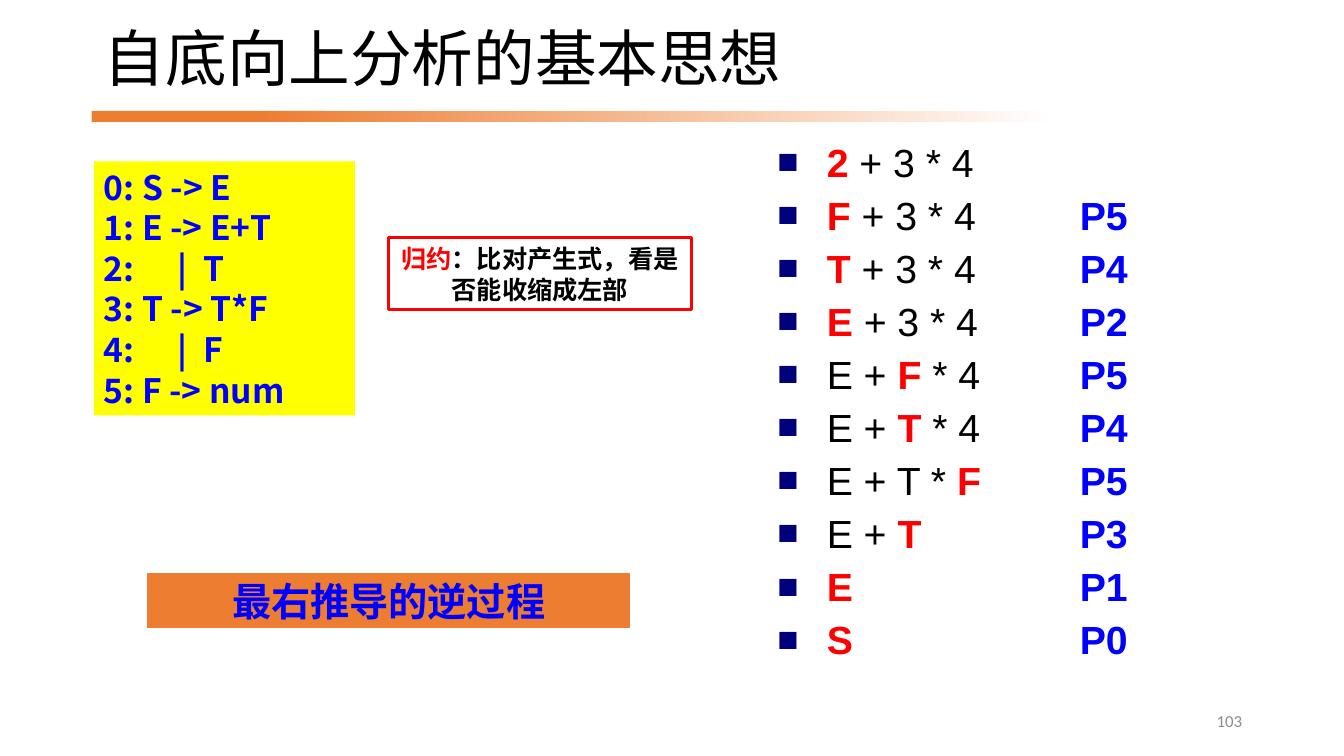
from dataclasses import dataclass

from lxml import etree
from pptx import Presentation
from pptx.dml.color import RGBColor
from pptx.enum.shapes import MSO_SHAPE
from pptx.enum.text import MSO_ANCHOR, MSO_AUTO_SIZE, PP_ALIGN
from pptx.oxml.ns import qn
from pptx.util import Inches, Pt

RECTANGLE = MSO_SHAPE.RECTANGLE
TOP, MIDDLE = MSO_ANCHOR.TOP, MSO_ANCHOR.MIDDLE
LEFT, CENTER, RIGHT = PP_ALIGN.LEFT, PP_ALIGN.CENTER, PP_ALIGN.RIGHT
NO_AUTOFIT = MSO_AUTO_SIZE.NONE


@dataclass(frozen=True)
class Theme:
    black: str = "000000"
    white: str = "FFFFFF"
    red: str = "FF0000"
    blue: str = "0000FF"
    navy: str = "00007D"
    yellow: str = "FFFF00"
    orange: str = "ED7D31"
    gray: str = "8C8C8C"
    latin: str = "Arial"
    chinese: str = "Noto Sans CJK SC"
    number: str = "Calibri"
    title_size: int = 44
    step_size: int = 28
    grammar_size: int = 24
    note_size: int = 18
    number_size: int = 12


THEME = Theme()

TITLE = "自底向上分析的基本思想"
PAGE_NUMBER = "103"
GRAMMAR = [
    "0: S -> E",
    "1: E -> E+T",
    "2:\t|\tT",
    "3: T -> T*F",
    "4:\t|\tF",
    "5: F -> num",
]
GRAMMAR_TABS = (0.73, 0.99)
NOTE = [("归约", THEME.red), ("：比对产生式，看是否能收缩成左部", THEME.black)]
CONCLUSION = "最右推导的逆过程"

# before, reduced symbol, after, production
STEPS = [
    ("", "2", " + 3 * 4", ""),
    ("", "F", " + 3 * 4", "P5"),
    ("", "T", " + 3 * 4", "P4"),
    ("", "E", " + 3 * 4", "P2"),
    ("E + ", "F", " * 4", "P5"),
    ("E + ", "T", " * 4", "P4"),
    ("E + T * ", "F", "", "P5"),
    ("E + ", "T", "", "P3"),
    ("", "E", "", "P1"),
    ("", "S", "", "P0"),
]
STEP_INDENT = 0.49
PRODUCTION_TAB = 3


def color(value):
    return RGBColor.from_string(value)


def place(shape, left, top, width, height):
    shape.left, shape.top = Inches(left), Inches(top)
    shape.width, shape.height = Inches(width), Inches(height)


def setup_frame(shape, anchor):
    frame = shape.text_frame
    frame.word_wrap = True
    frame.auto_size = NO_AUTOFIT
    frame.vertical_anchor = anchor
    return frame


def format_run(run, font_name, size, fill, bold=False):
    run.font.name = font_name
    run.font.size = Pt(size)
    run.font.bold = bold
    run.font.color.rgb = color(fill)
    east_asian = etree.Element(qn("a:ea"), typeface=font_name)
    run.font._element.find(qn("a:latin")).addnext(east_asian)


def add_run(paragraph, text, *style):
    run = paragraph.add_run()
    run.text = text
    format_run(run, *style)


def add_tabs(paragraph, positions):
    tabs = etree.SubElement(paragraph._p.get_or_add_pPr(), qn("a:tabLst"))
    for position in positions:
        etree.SubElement(tabs, qn("a:tab"), pos=str(Inches(position)), algn="l")


def add_square_bullet(paragraph):
    properties = paragraph._p.get_or_add_pPr()
    properties.set("marL", str(Inches(STEP_INDENT)))
    properties.set("indent", str(-Inches(STEP_INDENT)))
    bullet_color = etree.SubElement(properties, qn("a:buClr"))
    etree.SubElement(bullet_color, qn("a:srgbClr"), val=THEME.navy)
    etree.SubElement(properties, qn("a:buSzPct"), val="90000")
    etree.SubElement(properties, qn("a:buFont"), typeface=THEME.latin)
    etree.SubElement(properties, qn("a:buChar"), char="■")


def add_rectangle(slide, box, fill=None, line=None, line_width=1.5):
    shape = slide.shapes.add_shape(RECTANGLE, *map(Inches, box))
    shape.shadow.inherit = False
    if fill:
        shape.fill.solid()
        shape.fill.fore_color.rgb = color(fill)
    else:
        shape.fill.background()
    if line:
        shape.line.color.rgb = color(line)
        shape.line.width = Pt(line_width)
    else:
        shape.line.fill.background()
    return shape


def write_box(shape, lines, size, alignment, tabs=()):
    frame = setup_frame(shape, TOP)
    for index, parts in enumerate(lines):
        paragraph = frame.add_paragraph() if index else frame.paragraphs[0]
        paragraph.alignment = alignment
        paragraph.line_spacing = Pt(round(size * 1.2))
        if tabs:
            add_tabs(paragraph, tabs)
        for text, fill in parts:
            add_run(paragraph, text, THEME.chinese, size, fill, True)


def add_title_bar(slide):
    add_rectangle(slide, (0.91, 1.1, 2.33, 0.11), THEME.orange)
    fade = add_rectangle(slide, (2.57, 1.1, 7.92, 0.11))
    fade.fill.gradient()
    fade.fill.gradient_angle = 0
    for stop, position, value in zip(
        fade.fill.gradient_stops, (0, 1), (THEME.orange, THEME.white)
    ):
        stop.position = position
        stop.color.rgb = color(value)


def write_title(title):
    place(title, 0.93, 0.17, 11.14, 0.89)
    frame = setup_frame(title, MIDDLE)
    frame.text = TITLE
    paragraph = frame.paragraphs[0]
    paragraph.alignment = LEFT
    paragraph.line_spacing = 0.9
    format_run(paragraph.runs[0], THEME.latin, THEME.title_size, THEME.black)


def write_steps(body):
    place(body, 7.61, 1.41, 4.8, 5.37)
    frame = setup_frame(body, TOP)
    for index, (before, symbol, after, production) in enumerate(STEPS):
        paragraph = frame.add_paragraph() if index else frame.paragraphs[0]
        add_square_bullet(paragraph)
        add_tabs(paragraph, [PRODUCTION_TAB])
        paragraph.line_spacing = 0.8
        paragraph.space_before = Pt(11 if index else 0)
        parts = [
            (before, THEME.black, False),
            (symbol, THEME.red, True),
            (after, THEME.black, False),
            (production and "\t" + production, THEME.blue, True),
        ]
        for text, fill, bold in parts:
            if text:
                add_run(paragraph, text, THEME.latin, THEME.step_size, fill, bold)


def add_page_number(slide):
    box = slide.shapes.add_textbox(*map(Inches, (9.42, 6.95, 3, 0.4)))
    frame = setup_frame(box, MIDDLE)
    frame.text = PAGE_NUMBER
    frame.paragraphs[0].alignment = RIGHT
    format_run(frame.paragraphs[0].runs[0], THEME.number, THEME.number_size, THEME.gray)


def main():
    presentation = Presentation()
    presentation.slide_width, presentation.slide_height = Inches(13.33), Inches(7.5)
    slide = presentation.slides.add_slide(presentation.slide_layouts[1])
    add_title_bar(slide)
    write_title(slide.shapes.title)
    write_steps(slide.placeholders[1])
    add_page_number(slide)
    grammar = add_rectangle(slide, (0.93, 1.6, 2.59, 2.52), THEME.yellow)
    write_box(grammar, [[(rule, THEME.blue)] for rule in GRAMMAR],
              THEME.grammar_size, LEFT, GRAMMAR_TABS)
    note = add_rectangle(slide, (3.85, 2.36, 3.01, 0.71), None, THEME.red, 2.25)
    write_box(note, [NOTE], THEME.note_size, CENTER)
    conclusion = add_rectangle(slide, (1.45, 5.67, 4.81, 0.57), THEME.orange, THEME.white)
    write_box(conclusion, [[(CONCLUSION, THEME.blue)]], THEME.step_size, CENTER)
    presentation.save("out.pptx")


if __name__ == "__main__":
    main()
